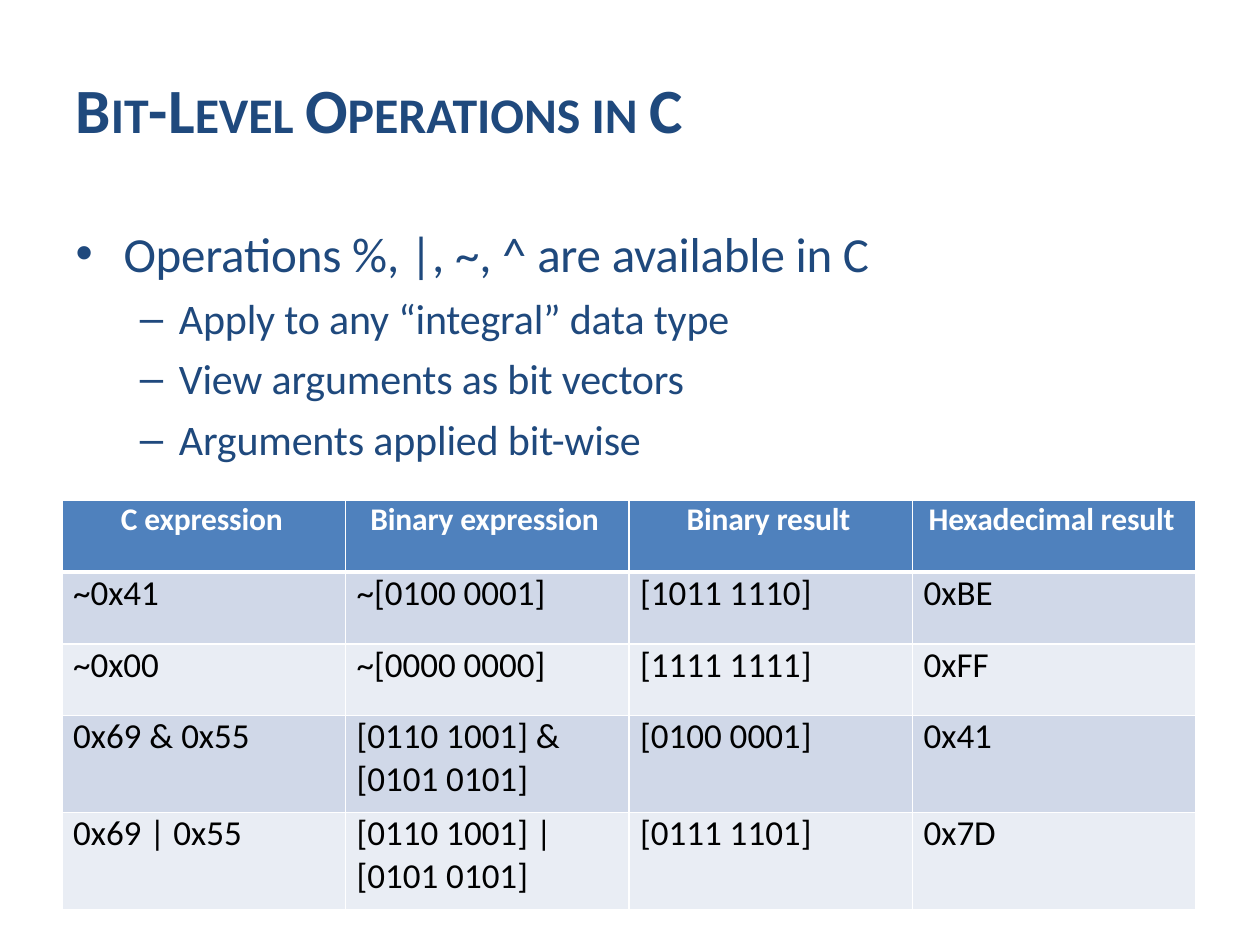
from dataclasses import dataclass

from lxml.etree import SubElement
from pptx import Presentation
from pptx.dml.color import RGBColor
from pptx.enum.text import MSO_ANCHOR as Anchor, MSO_AUTO_SIZE as AutoSize, PP_ALIGN as Align
from pptx.oxml.ns import qn
from pptx.util import Inches, Pt

NAVY = RGBColor(0x1F, 0x49, 0x7D)
BLUE = RGBColor(0x4F, 0x81, 0xBD)
BAND_DARK = RGBColor(0xD0, 0xD8, 0xE8)
BAND_LIGHT = RGBColor(0xE9, 0xED, 0xF4)
WHITE = RGBColor(0xFF, 0xFF, 0xFF)
BLACK = RGBColor(0, 0, 0)
FONT = "Calibri"


@dataclass(frozen=True)
class Bullet:
    text: str
    level: int
    size: float
    margin: float
    hanging: float
    before: float


@dataclass(frozen=True)
class TableRow:
    cells: tuple[str, ...]
    height: float
    before: float
    fill: RGBColor


TITLE_RUNS = (("B", 36), ("IT", 28.5), ("-L", 36), ("EVEL ", 28.5),
              ("O", 36), ("PERATIONS IN ", 28.5), ("C", 36))

BULLETS = (
    Bullet("Operations %, |, ~, ^ are available in C", 0, 28, 0.39, 0.38, 0),
    Bullet("Apply to any “integral” data type", 1, 24, 0.83, 0.31, 6),
    Bullet("View arguments as bit vectors", 1, 24, 0.83, 0.31, 5.8),
    Bullet("Arguments applied bit-wise", 1, 24, 0.83, 0.31, 5.8),
)

ROWS = (
    TableRow(("C expression", "Binary expression", "Binary result", "Hexadecimal result"),
             0.57, 7.8, BLUE),
    TableRow(("~0x41", "~[0100 0001]", "[1011 1110]", "0xBE"), 0.57, 5.5, BAND_DARK),
    TableRow(("~0x00", "~[0000 0000]", "[1111 1111]", "0xFF"), 0.57, 6.5, BAND_LIGHT),
    TableRow(("0x69 & 0x55", "[0110 1001] &\n[0101 0101]", "[0100 0001]", "0x41"),
             0.77, 13.8, BAND_DARK),
    TableRow(("0x69 | 0x55", "[0110 1001] |\n[0101 0101]", "[0111 1101]", "0x7D"),
             0.77, 13.8, BAND_LIGHT),
)
HEADER_INDENTS = (0.47, 0.2, 0.46, 0.13)
CELL_INDENT = 0.09
COLUMN_WIDTH = 2.25


def add_text(paragraph, text: str, *, size: float, color: RGBColor,
             bold: bool = False, spacing: float = 0) -> None:
    run = paragraph.add_run()
    run.text = text
    font = run.font
    font.name, font.size, font.bold = FONT, Pt(size), bold
    font.color.rgb = color
    if spacing:
        run._r.get_or_add_rPr().set("spc", str(round(spacing * 100)))


def format_paragraph(paragraph, *, margin: float, hanging: float = 0, before: float = 0) -> None:
    paragraph.alignment = Align.LEFT
    paragraph.space_before = Pt(before)
    properties = paragraph._p.get_or_add_pPr()
    properties.set("marL", str(Inches(margin)))
    properties.set("indent", str(-Inches(hanging)))


def place(shape, left: float, top: float, width: float, height: float):
    shape.left, shape.top = Inches(left), Inches(top)
    shape.width, shape.height = Inches(width), Inches(height)
    frame = shape.text_frame
    frame.margin_left = frame.margin_top = frame.margin_right = frame.margin_bottom = 0
    frame.vertical_anchor = Anchor.TOP
    frame.word_wrap = True
    frame.auto_size = AutoSize.SHAPE_TO_FIT_TEXT
    return frame


def add_borders(cell, widths: dict[str, float]) -> None:
    properties = cell._tc.get_or_add_tcPr()
    for side, width in widths.items():
        line = SubElement(properties, qn(f"a:ln{side}"), w=str(Pt(width)))
        fill = SubElement(line, qn("a:solidFill"))
        SubElement(fill, qn("a:srgbClr"), val=str(WHITE))


def fill_cell(cell, text: str, row: TableRow, row_index: int, column_index: int) -> None:
    header = row_index == 0
    cell.margin_left = cell.margin_top = cell.margin_right = cell.margin_bottom = 0
    add_borders(cell, {"L": 1, "R": 1, "T": 3 if row_index == 1 else 1, "B": 3 if header else 1})
    cell.fill.solid()
    cell.fill.fore_color.rgb = row.fill
    lines = text.split("\n")
    before = 1.8 if len(lines) > 1 else row.before
    for index, line in enumerate(lines):
        paragraph = cell.text_frame.add_paragraph() if index else cell.text_frame.paragraphs[0]
        format_paragraph(paragraph, margin=HEADER_INDENTS[column_index] if header else CELL_INDENT,
                         before=0 if index else before)
        add_text(paragraph, line, size=18 if header else 20,
                 color=WHITE if header else BLACK, bold=header,
                 spacing=-0.1 if header else 0)


def add_title(slide) -> None:
    paragraph = place(slide.shapes.title, 0.48, 0.56, 9.05, 0.64).paragraphs[0]
    format_paragraph(paragraph, margin=0.12)
    for text, size in TITLE_RUNS:
        add_text(paragraph, text, size=size, color=NAVY, bold=True)


def add_bullets(slide) -> None:
    frame = place(slide.placeholders[1], 0.59, 1.77, 6.39, 1.94)
    for index, bullet in enumerate(BULLETS):
        paragraph = frame.add_paragraph() if index else frame.paragraphs[0]
        paragraph.level = bullet.level
        format_paragraph(paragraph, margin=bullet.margin, hanging=bullet.hanging,
                         before=bullet.before)
        add_text(paragraph, bullet.text, size=bullet.size, color=NAVY, spacing=-0.1)


def add_operations_table(slide) -> None:
    column_count = len(HEADER_INDENTS)
    table = slide.shapes.add_table(
        len(ROWS), column_count, Inches(0.49), Inches(3.97),
        Inches(COLUMN_WIDTH * column_count), Inches(sum(row.height for row in ROWS))).table
    for column in table.columns:
        column.width = Inches(COLUMN_WIDTH)
    for row_index, row in enumerate(ROWS):
        table.rows[row_index].height = Inches(row.height)
        for column_index, text in enumerate(row.cells):
            fill_cell(table.cell(row_index, column_index), text, row, row_index, column_index)


presentation = Presentation()
presentation.slide_width, presentation.slide_height = Inches(10), Inches(7.5)
slide = presentation.slides.add_slide(presentation.slide_layouts[1])
add_title(slide)
add_bullets(slide)
add_operations_table(slide)
presentation.save("out.pptx")
